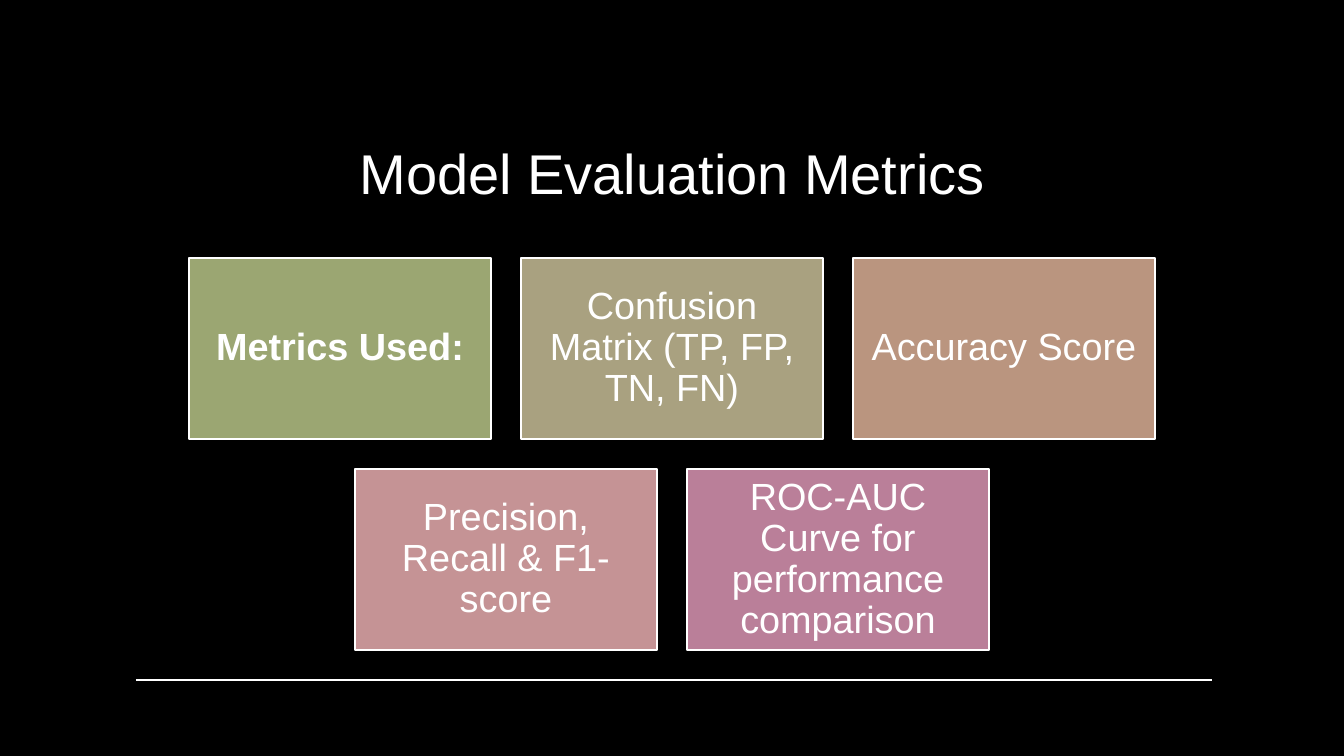
from lxml import etree
from pptx import Presentation
from pptx.dml.color import RGBColor
from pptx.enum.shapes import MSO_CONNECTOR, MSO_SHAPE
from pptx.enum.text import MSO_ANCHOR, PP_ALIGN
from pptx.oxml.ns import qn
from pptx.util import Pt

RECTANGLE = MSO_SHAPE.RECTANGLE
STRAIGHT = MSO_CONNECTOR.STRAIGHT
CENTER = PP_ALIGN.CENTER
MIDDLE = MSO_ANCHOR.MIDDLE
BOTTOM = MSO_ANCHOR.BOTTOM

EMU_PER_PX = 914400 / 100.8
SLIDE_WIDTH, SLIDE_HEIGHT = 1344, 756
CARD_WIDTH, CARD_HEIGHT, CARD_GAP = 302, 181, 30
CARDS_TOP = 258

COLORS = {
    "background": "000000",
    "text": "FFFFFF",
    "line": "FFFFFF",
    "green": "9BA672",
    "olive": "A9A180",
    "tan": "BA957F",
    "rose": "C59395",
    "mauve": "BA7F99",
}

CARD_ROWS = [
    [
        ("Metrics Used:", "green", True),
        ("Confusion Matrix (TP, FP, TN, FN)", "olive", False),
        ("Accuracy Score", "tan", False),
    ],
    [
        ("Precision, Recall & F1-score", "rose", False),
        ("ROC-AUC Curve for performance comparison", "mauve", False),
    ],
]


def px(length):
    return round(length * EMU_PER_PX)


def color(name):
    return RGBColor.from_string(COLORS[name])


class SlideBuilder:
    font_name = "Arial"
    line_width = Pt(1)

    def __init__(self, slide):
        self.slide = slide

    def background(self, fill):
        self.slide.background.fill.solid()
        self.slide.background.fill.fore_color.rgb = color(fill)

    def set_text(self, shape, text, size, anchor, inset, bold=False, spacing=1.0):
        frame = shape.text_frame
        frame.word_wrap = True
        frame.vertical_anchor = anchor
        frame.margin_left = frame.margin_right = px(inset)
        frame.margin_top = frame.margin_bottom = px(inset)
        paragraph = frame.paragraphs[0]
        paragraph.text = text
        paragraph.alignment = CENTER
        paragraph.line_spacing = spacing
        paragraph.font.name = self.font_name
        paragraph.font.size = Pt(size)
        paragraph.font.bold = bold
        paragraph.font.color.rgb = color("text")

    def title(self, text, left, top, width, height):
        box = self.slide.shapes.add_textbox(px(left), px(top), px(width), px(height))
        self.set_text(box, text, 40, BOTTOM, 5)

    def card(self, text, fill, bold, left, top):
        shape = self.slide.shapes.add_shape(
            RECTANGLE, px(left), px(top), px(CARD_WIDTH), px(CARD_HEIGHT)
        )
        shape.shadow.inherit = False
        shape.fill.solid()
        shape.fill.fore_color.rgb = color(fill)
        shape.line.color.rgb = color("line")
        shape.line.width = self.line_width
        self.set_text(shape, text, 27, MIDDLE, 11, bold, 0.9)

    def rule(self, left, right, top):
        connector = self.slide.shapes.add_connector(
            STRAIGHT, px(left), px(top), px(right), px(top)
        )
        connector.line.color.rgb = color("line")
        connector.line.width = self.line_width
        etree.SubElement(connector._element.spPr, qn("a:effectLst"))


def main():
    presentation = Presentation()
    presentation.slide_width = px(SLIDE_WIDTH)
    presentation.slide_height = px(SLIDE_HEIGHT)
    builder = SlideBuilder(presentation.slides.add_slide(presentation.slide_layouts[6]))

    builder.background("background")
    builder.title("Model Evaluation Metrics", 193, 100, 958, 111)
    builder.rule(136, 1212, 680)

    for row, cards in enumerate(CARD_ROWS):
        row_width = len(cards) * (CARD_WIDTH + CARD_GAP) - CARD_GAP
        row_left = (SLIDE_WIDTH - row_width) // 2
        top = CARDS_TOP + row * (CARD_HEIGHT + CARD_GAP)
        for column, (text, fill, bold) in enumerate(cards):
            left = row_left + column * (CARD_WIDTH + CARD_GAP)
            builder.card(text, fill, bold, left, top)

    presentation.save("out.pptx")


if __name__ == "__main__":
    main()
